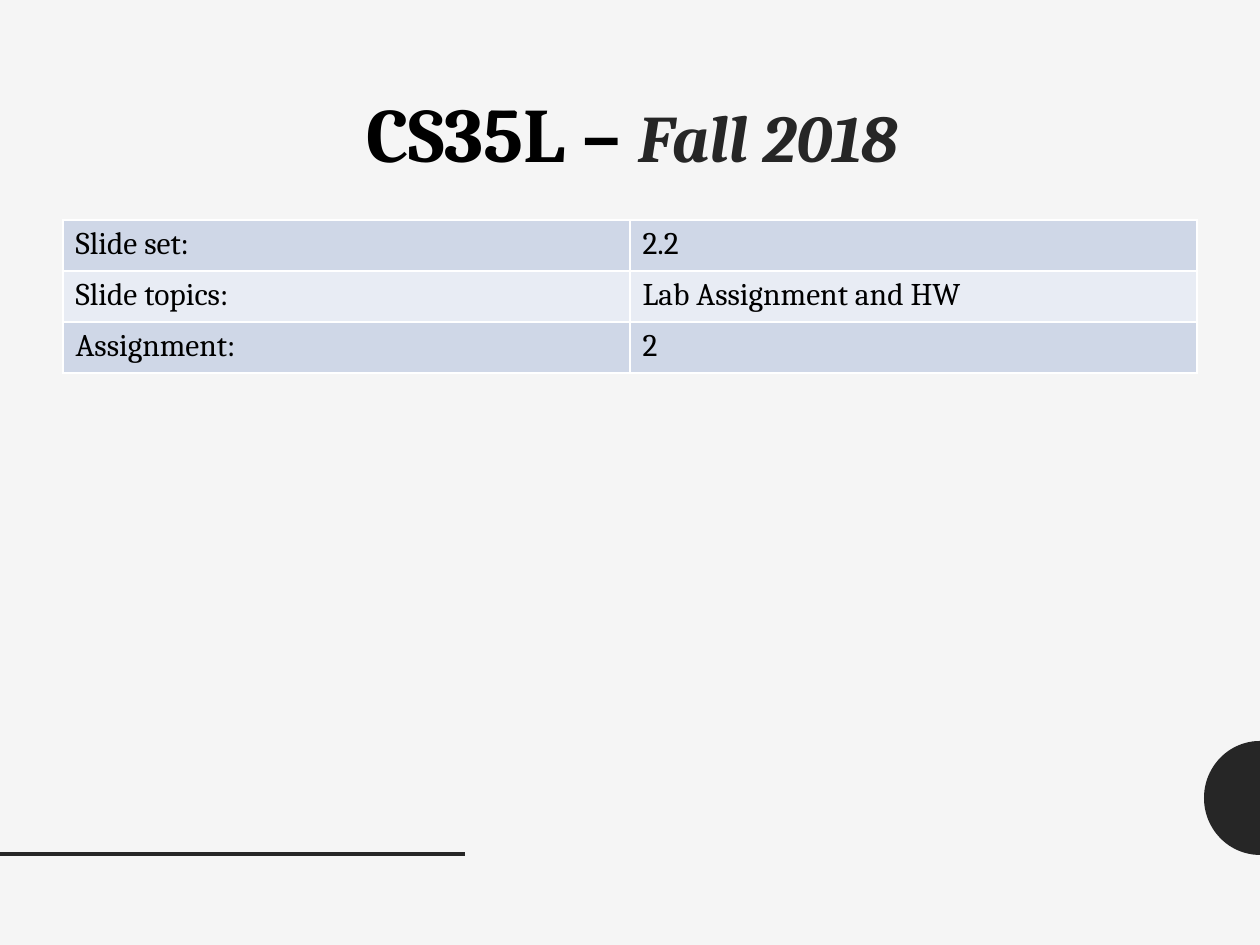
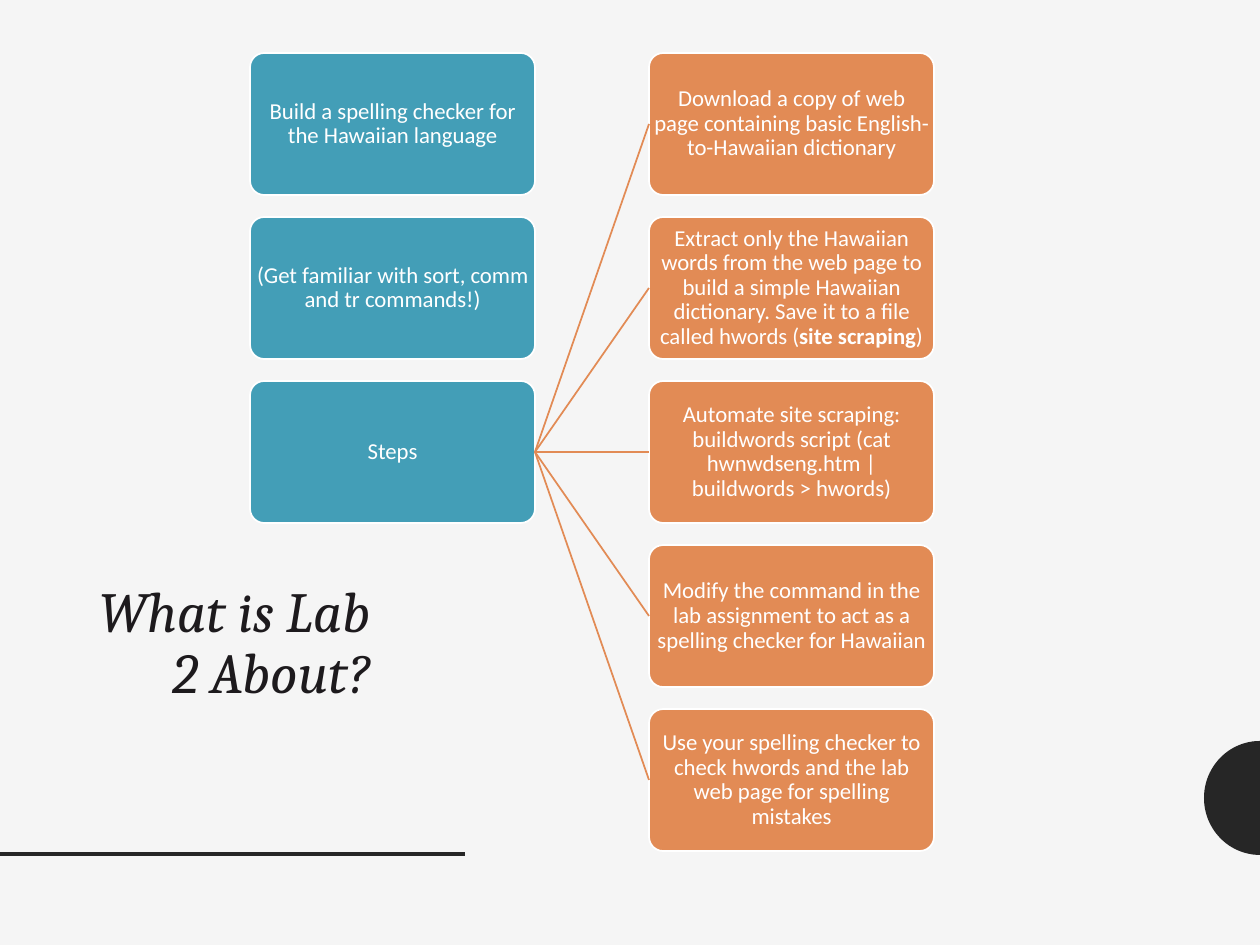
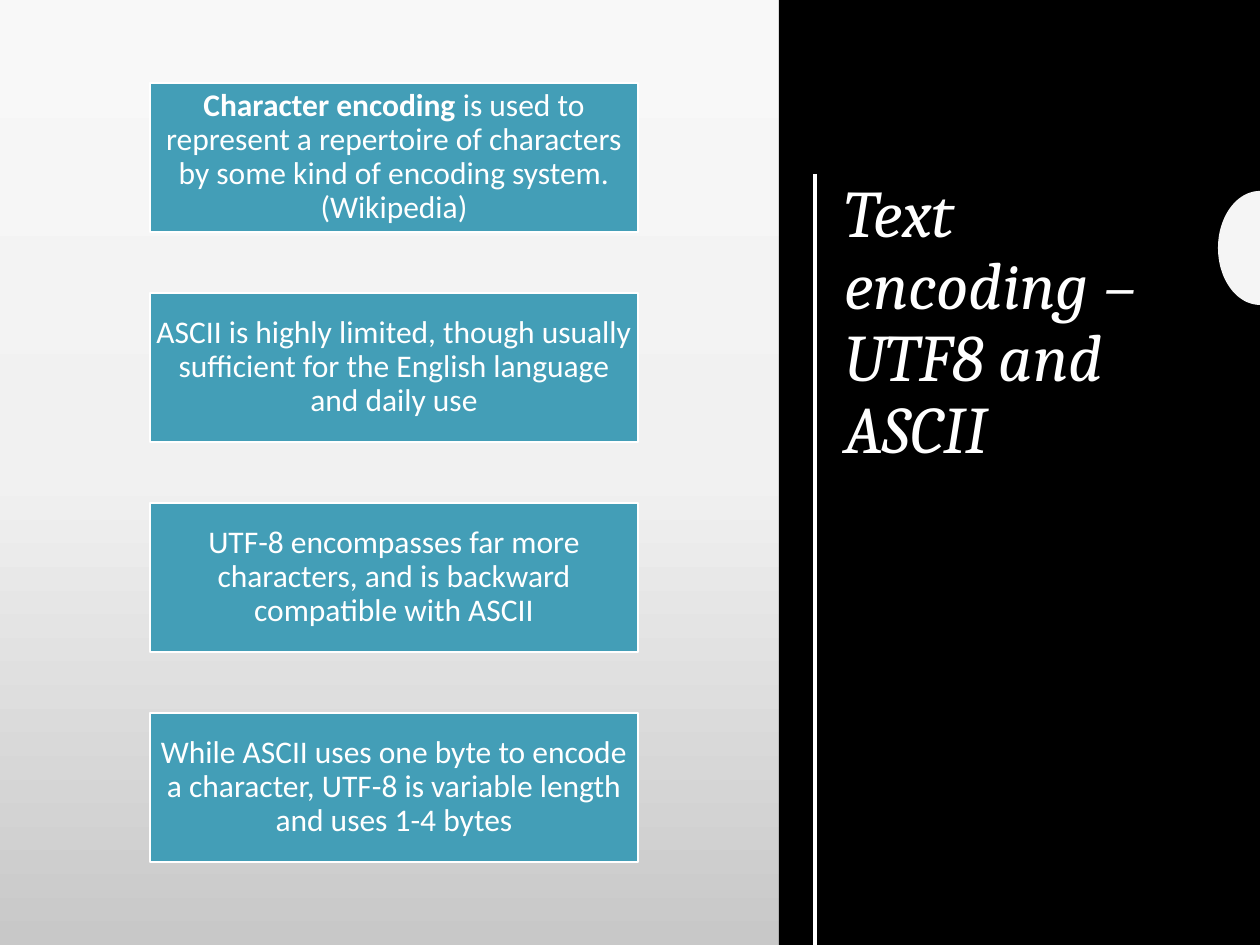
"""Build three slides on a spelling checker lab and text encoding."""
from copy import deepcopy
from math import cos, pi, sin

from lxml.etree import SubElement
from pptx import Presentation
from pptx.dml.color import RGBColor
from pptx.enum.shapes import MSO_CONNECTOR, MSO_SHAPE
from pptx.enum.text import MSO_ANCHOR as Anchor, PP_ALIGN as Align
from pptx.oxml.ns import qn
from pptx.util import Pt

PX = 914400 / 126
WIDTH, HEIGHT = 1260, 945
TITLE_FONT, BODY_FONT = "Cambria", "Calibri"
PAPER, INK, BLACK, WHITE = "F5F5F5", "262626", "000000", "FFFFFF"
TITLE_INK, TEAL, ORANGE = "1D1A1D", "439EB7", "E28B55"
BANDS = ["CFD7E7", "E8ECF4"]
BACKDROP_STOPS = [(0, "F8F8F8"), (0.5, "F1F1F1"), (1, "C8C8C8")]

COURSE_TITLE = [
    ("CS35L – ", {"size": 44, "color": BLACK}),
    ("Fall 2018", {"italic": True}),
]
COURSE_ROWS = [
    ("Slide set:", "2.2"),
    ("Slide topics:", "Lab Assignment and HW"),
    ("Assignment:", "2"),
]
LAB_TITLE = "What is Lab 2 About?"
LAB_GOALS = [
    "Build a spelling checker for the Hawaiian language",
    "(Get familiar with sort, comm and tr commands!)",
    "Steps",
]
LAB_STEPS = [
    "Download a copy of web page containing basic English-to-Hawaiian dictionary",
    [
        ("Extract only the Hawaiian words from the web page to build a simple "
         "Hawaiian dictionary. Save it to a file called hwords (", {}),
        ("site scraping", {"bold": True}),
        (")", {}),
    ],
    "Automate site scraping: buildwords script (cat hwnwdseng.htm | buildwords > hwords)",
    "Modify the command in the lab assignment to act as a spelling checker for Hawaiian",
    "Use your spelling checker to check hwords and the lab web page for spelling mistakes",
]
ENCODING_TITLE = "Text encoding – UTF8 and ASCII"
ENCODING_FACTS = [
    [
        ("Character encoding", {"bold": True}),
        (" is used to represent a repertoire of characters by some kind "
         "of encoding system. (Wikipedia)", {}),
    ],
    "ASCII is highly limited, though usually sufficient for the English language and daily use",
    "UTF-8 encompasses far more characters, and is backward compatible with ASCII",
    "While ASCII uses one byte to encode a character, UTF-8 is variable length and uses 1-4 bytes",
]


def emu(*lengths):
    return [round(length * PX) for length in lengths]


def rgb(color):
    return RGBColor.from_string(color)


def write(frame, text, size=18, color=BLACK, font=TITLE_FONT, bold=False, italic=False,
          align=Align.LEFT, anchor=Anchor.TOP, spacing=0.9, inset=None):
    frame.word_wrap = True
    frame.vertical_anchor = anchor
    if inset is not None:
        frame.margin_left = frame.margin_top = frame.margin_right = frame.margin_bottom = emu(inset)[0]
    paragraph = frame.paragraphs[0]
    paragraph.alignment = align
    paragraph.line_spacing = spacing
    base = {"size": size, "color": color, "bold": bold, "italic": italic}
    for words, changes in [(text, {})] if isinstance(text, str) else text:
        style = base | changes
        run = paragraph.add_run()
        run.text = words
        run.font.name = font
        run.font.size = Pt(style["size"])
        run.font.bold = style["bold"]
        run.font.italic = style["italic"]
        run.font.color.rgb = rgb(style["color"])


def paint(shape, fill, line=None, weight=1):
    shape.shadow.inherit = False
    shape.fill.solid()
    shape.fill.fore_color.rgb = rgb(fill)
    if line:
        shape.line.color.rgb = rgb(line)
        shape.line.width = Pt(weight)
    else:
        shape.line.fill.background()


def add_box(slide, kind, area, fill, line=None, weight=1):
    shape = slide.shapes.add_shape(kind, *emu(*area))
    paint(shape, fill, line, weight)
    return shape


def add_title(slide, area, text, **style):
    write(slide.shapes.add_textbox(*emu(*area)).text_frame, text, **style)


def add_line(slide, start, end, color, weight):
    line = slide.shapes.add_connector(MSO_CONNECTOR.STRAIGHT, *emu(*start, *end))
    line.line.color.rgb = rgb(color)
    line.line.width = Pt(weight)
    SubElement(line._element.spPr, qn("a:effectLst"))
    return line


def add_half_disc(slide, middle, radius_x, radius_y, color, steps=48):
    angles = [pi * step / steps for step in range(steps + 1)]
    points = [emu(WIDTH - radius_x * sin(angle), middle - radius_y * cos(angle)) for angle in angles]
    builder = slide.shapes.build_freeform(*points[0])
    builder.add_line_segments(points[1:], close=True)
    paint(builder.convert_to_shape(), color)


def add_slide(presentation, decorated=True):
    slide = presentation.slides.add_slide(presentation.slide_layouts[6])
    slide.background.fill.solid()
    slide.background.fill.fore_color.rgb = rgb(PAPER)
    if decorated:
        add_half_disc(slide, 798, 56, 57, INK)
        add_line(slide, (0, 854), (465, 854), INK, 2)
    return slide


def add_column(slide, texts, kind, left, top, size, pitch, fill, weight, text_size):
    boxes = []
    for index, text in enumerate(texts):
        box = add_box(slide, kind, (left, top + index * pitch, *size), fill, WHITE, weight)
        if kind == MSO_SHAPE.ROUNDED_RECTANGLE:
            box.adjustments[0] = 0.1
        write(box.text_frame, text, size=text_size, color=WHITE, font=BODY_FONT,
              align=Align.CENTER, anchor=Anchor.MIDDLE, inset=1)
        boxes.append(box)
    return boxes


def border_cell(cell, color):
    properties = cell._tc.get_or_add_tcPr()
    for position, side in enumerate(("a:lnL", "a:lnR", "a:lnT", "a:lnB")):
        line = properties.makeelement(qn(side), {"w": str(Pt(1))})
        SubElement(SubElement(line, qn("a:solidFill")), qn("a:srgbClr"), val=color)
        properties.insert(position, line)


def build_course(presentation):
    slide = add_slide(presentation)
    add_title(slide, (78, 77, 1108, 122), COURSE_TITLE, size=38, color=INK, bold=True,
              align=Align.CENTER, anchor=Anchor.MIDDLE)
    rows, columns = len(COURSE_ROWS), len(COURSE_ROWS[0])
    table = slide.shapes.add_table(rows, columns, *emu(63, 220, 1134, 51 * rows)).table
    for row, texts in enumerate(COURSE_ROWS):
        for column, text in enumerate(texts):
            cell = table.cell(row, column)
            cell.fill.solid()
            cell.fill.fore_color.rgb = rgb(BANDS[row % 2])
            border_cell(cell, WHITE)
            write(cell.text_frame, text, spacing=1)


def build_lab(presentation):
    slide = add_slide(presentation)
    layout = {"kind": MSO_SHAPE.ROUNDED_RECTANGLE, "top": 53, "size": (285, 142),
              "pitch": 164, "weight": 1, "text_size": 13}
    goals = add_column(slide, LAB_GOALS, left=250, fill=TEAL, **layout)
    steps = add_column(slide, LAB_STEPS, left=649, fill=ORANGE, **layout)
    for step in steps:
        link = add_line(slide, (0, 0), (0, 0), ORANGE, 1)
        link.begin_connect(goals[-1], 3)
        link.end_connect(step, 1)
    add_title(slide, (73, 577, 310, 227), LAB_TITLE, size=32.4, color=TITLE_INK, italic=True,
              align=Align.RIGHT)


def build_encoding(presentation):
    slide = add_slide(presentation, decorated=False)
    backdrop = add_box(slide, MSO_SHAPE.RECTANGLE, (0, 0, WIDTH, HEIGHT), PAPER)
    backdrop.fill.gradient()
    backdrop.fill.gradient_angle = 270
    stop_list = backdrop._element.spPr.find(".//" + qn("a:gsLst"))
    stop_list.append(deepcopy(stop_list[-1]))
    for stop, (position, color) in zip(backdrop.fill.gradient_stops, BACKDROP_STOPS):
        stop.position = position
        stop.color.rgb = rgb(color)
    add_box(slide, MSO_SHAPE.RECTANGLE, (779, 0, WIDTH - 779, HEIGHT), BLACK)
    add_title(slide, (832, 174, 363, 586), ENCODING_TITLE, size=38, color=WHITE, italic=True)
    add_line(slide, (815, 174), (815, HEIGHT), WHITE, 2)
    add_half_disc(slide, 248, 42, 57, PAPER)
    add_column(slide, ENCODING_FACTS, MSO_SHAPE.RECTANGLE, left=150, top=83, size=(488, 149),
               pitch=210, fill=TEAL, weight=1.5, text_size=18)


def main():
    presentation = Presentation()
    presentation.slide_width, presentation.slide_height = emu(WIDTH, HEIGHT)
    build_course(presentation)
    build_lab(presentation)
    build_encoding(presentation)
    presentation.save("out.pptx")


if __name__ == "__main__":
    main()
